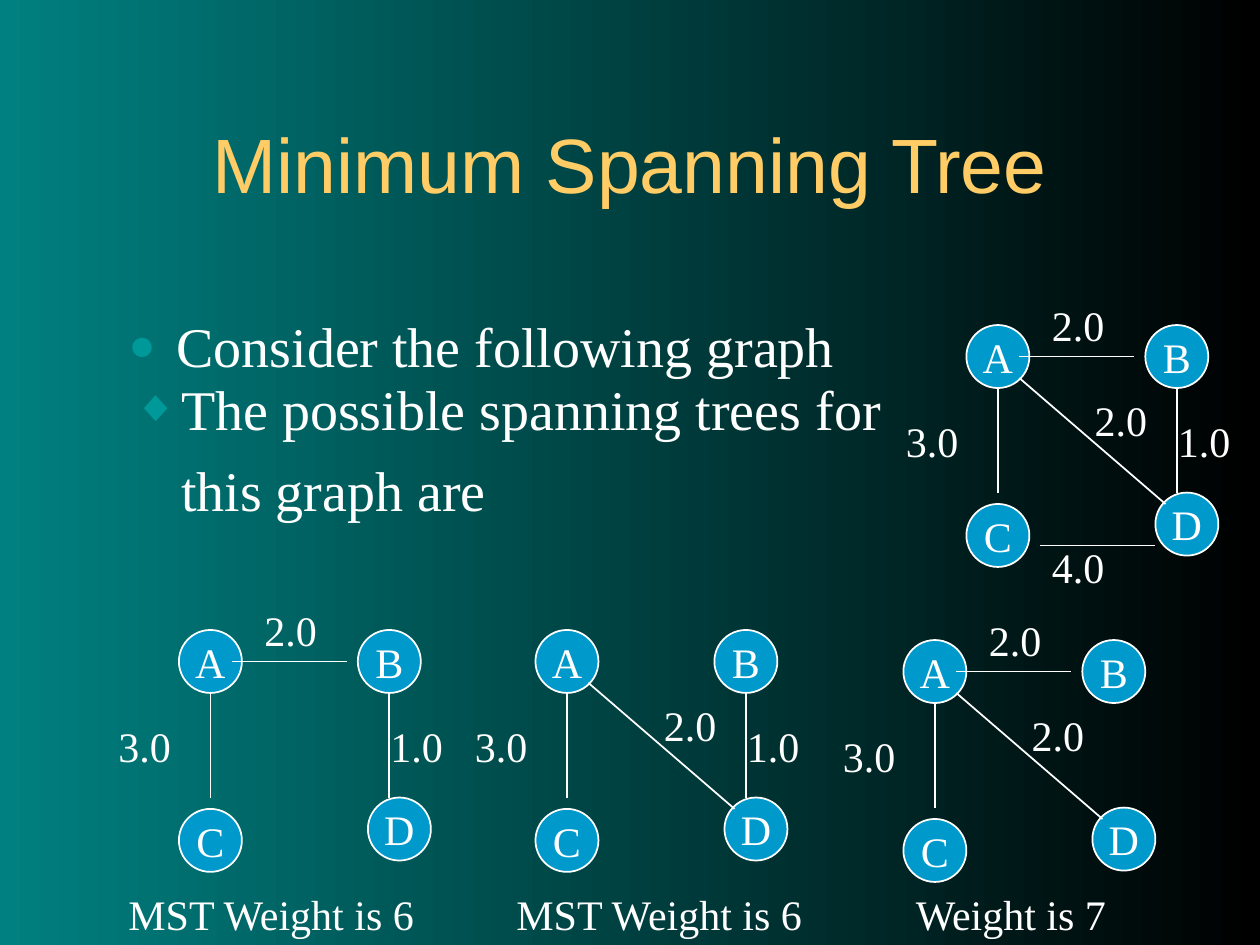
"""Build a slide comparing the spanning trees of a small weighted graph."""
from lxml import etree
from pptx import Presentation, util as u
from pptx.dml import color
from pptx.enum import shapes, text
from pptx.oxml import ns

WHITE, TEAL, BLUE, GOLD = "FFFFFF", "009999", "0099CC", "FFCC66"
SERIF = "Times New Roman"


def rgb(value):
    """Return the colour for a hex string."""
    return color.RGBColor.from_string(value)


def write(shape, lines, size=24, font=SERIF, fill=WHITE, frame=None, **layout):
    """Fill a shape with formatted paragraphs and return them."""
    text_frame = shape.text_frame
    text_frame.text = "\n".join(lines)
    frame_format = {"word_wrap": True, "auto_size": text.MSO_AUTO_SIZE.NONE,
                    "vertical_anchor": text.MSO_ANCHOR.TOP, **(frame or {})}
    for name, value in frame_format.items():
        setattr(text_frame, name, value)
    for paragraph in text_frame.paragraphs:
        paragraph_format = {"alignment": text.PP_ALIGN.LEFT, "space_before": u.Pt(0), **layout}
        for name, value in paragraph_format.items():
            setattr(paragraph, name, value)
        run = paragraph.runs[0]
        for name, value in {"size": u.Pt(size), "name": font}.items():
            setattr(run.font, name, value)
        run.font.color.rgb = rgb(fill)
    return text_frame.paragraphs


presentation = Presentation()
presentation.slide_width, presentation.slide_height = u.Inches(10), u.Inches(7.5)
slide = presentation.slides.add_slide(presentation.slide_layouts[1])

background = slide.background.fill
background.gradient()
background.gradient_angle = 0
for stop, value in zip(background.gradient_stops, ("008080", "000000")):
    stop.color.rgb = rgb(value)

title, body = slide.placeholders
extra = slide.shapes.add_textbox(0, 0, 0, 0)
for shape, box in ((title, (0.75, 0.67, 8.5, 1.25)),
                   (body, (0.92, 2.42, 8.7, 4.24)),
                   (extra, (0.96, 2.92, 8.7, 4.24))):
    for name, value in zip(("left", "top", "width", "height"), box):
        setattr(shape, name, u.Inches(value))

centred = {"vertical_anchor": text.MSO_ANCHOR.MIDDLE}
write(title, ["Minimum Spanning Tree"], 44, "Arial", GOLD, centred,
      alignment=text.PP_ALIGN.CENTER)

lists = ((body, "●", ["Consider the following graph"]),
         (extra, "◆", ["The possible spanning trees for", "this graph are"]))
for shape, bullet, lines in lists:
    for index, paragraph in enumerate(write(shape, lines, 32)):
        properties = paragraph._p.get_or_add_pPr()
        properties.set("marL", str(u.Inches(0.38)))
        properties.set("indent", str(0 if index else -u.Inches(0.38)))
        if index:
            paragraph.space_before = u.Pt(8)
            etree.SubElement(properties, ns.qn("a:buNone"))
            continue
        bullet_colour = etree.SubElement(properties, ns.qn("a:buClr"))
        etree.SubElement(bullet_colour, ns.qn("a:srgbClr"), val=TEAL)
        etree.SubElement(properties, ns.qn("a:buSzPct"), val="80000")
        etree.SubElement(properties, ns.qn("a:buFont"), typeface="Arial")
        etree.SubElement(properties, ns.qn("a:buChar"), char=bullet)

nodes = {"A": (0, 0), "B": (1.42, 0), "C": (0, 1.42), "D": (1.5, 1.33)}
edges = {
    "AB": ((0.42, 0.25, 1.33, 0.25), "2.0", (0.58, -0.25, 1)),
    "AC": ((0.25, 0.5, 0.25, 1.33), "3.0", (-0.58, 0.67, 0.75)),
    "BD": ((1.67, 0.5, 1.67, 1.33), "1.0", (1.58, 0.67, 0.75)),
    "AD": ((0.42, 0.42, 1.58, 1.42), "2.0", (0.92, 0.5, 1)),
    "CD": ((0.58, 1.75, 1.5, 1.75), "4.0", (0.58, 1.67, 1)),
}
graphs = (
    (7.67, 2.58, ("AB", "AC", "BD", "AD", "CD")),
    (1.42, 5, ("AB", "AC", "BD")),
    (4.25, 5, ("AC", "BD", "AD")),
    (7.17, 5.08, ("AB", "AC", "AD")),
)
fitted = {"auto_size": text.MSO_AUTO_SIZE.SHAPE_TO_FIT_TEXT}

for left, top, names in graphs:
    graph = slide.shapes.add_group_shape().shapes
    for letter, (x, y) in nodes.items():
        node = graph.add_shape(shapes.MSO_SHAPE.OVAL, u.Inches(left + x), u.Inches(top + y),
                               u.Inches(0.5), u.Inches(0.5))
        node.shadow.inherit = False
        node.fill.solid()
        node.fill.fore_color.rgb = rgb(BLUE)
        node.line.color.rgb = rgb(WHITE)
        node.line.width = u.Pt(1)
        write(node, [letter], frame={**centred, "word_wrap": False},
              alignment=text.PP_ALIGN.CENTER)
    for name in names:
        (x1, y1, x2, y2), weight, (x, y, width) = edges[name]
        edge = graph.add_connector(shapes.MSO_CONNECTOR.STRAIGHT,
                                   u.Inches(left + x1), u.Inches(top + y1),
                                   u.Inches(left + x2), u.Inches(top + y2))
        edge.line.color.rgb = rgb(WHITE)
        edge.line.width = u.Pt(1)
        etree.SubElement(edge._element.spPr, ns.qn("a:effectLst"))
        label = graph.add_textbox(u.Inches(left + x), u.Inches(top + y),
                                  u.Inches(width), u.Inches(0.5))
        write(label, [weight], frame=fitted)

for left, words in ((0.92, "MST Weight is 6"), (4, "MST Weight is 6"), (7.17, "Weight is 7")):
    caption = slide.shapes.add_textbox(u.Inches(left), u.Inches(7), u.Inches(2.92), u.Inches(0.5))
    write(caption, [words], frame=fitted)

presentation.save("out.pptx")
